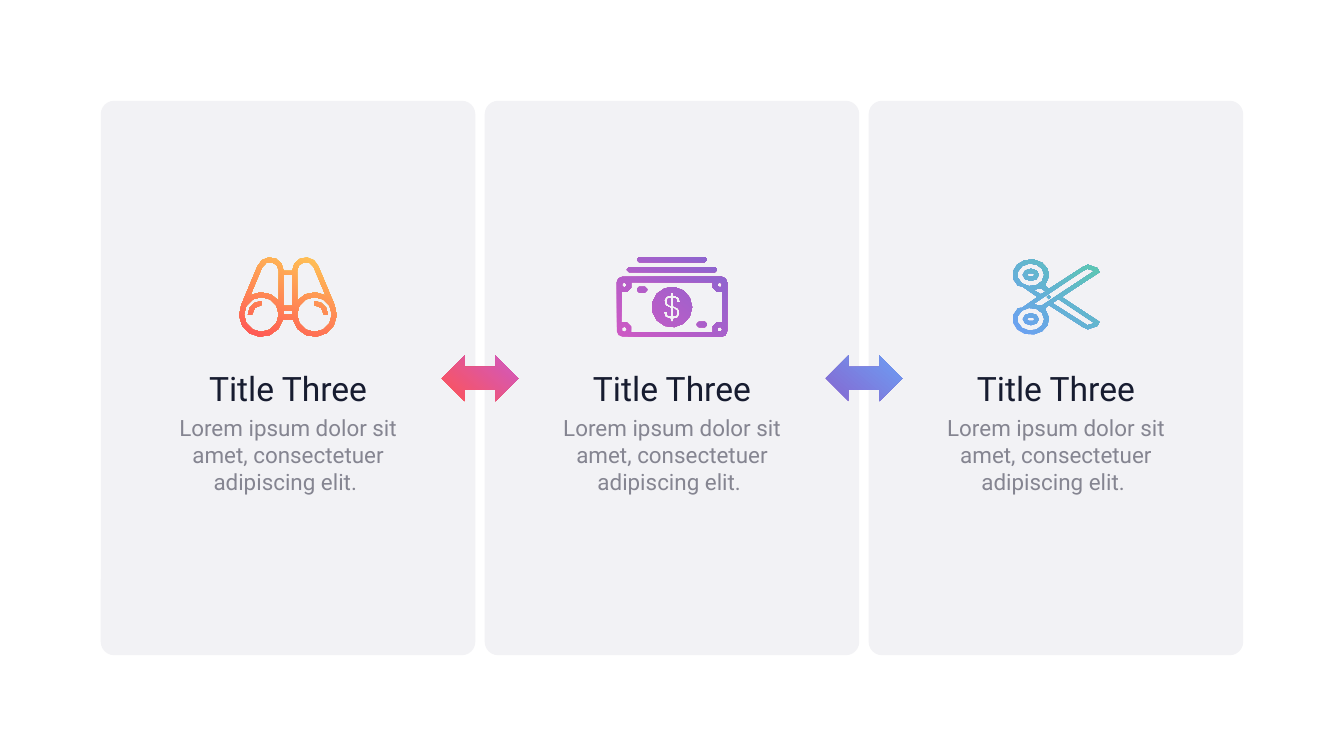
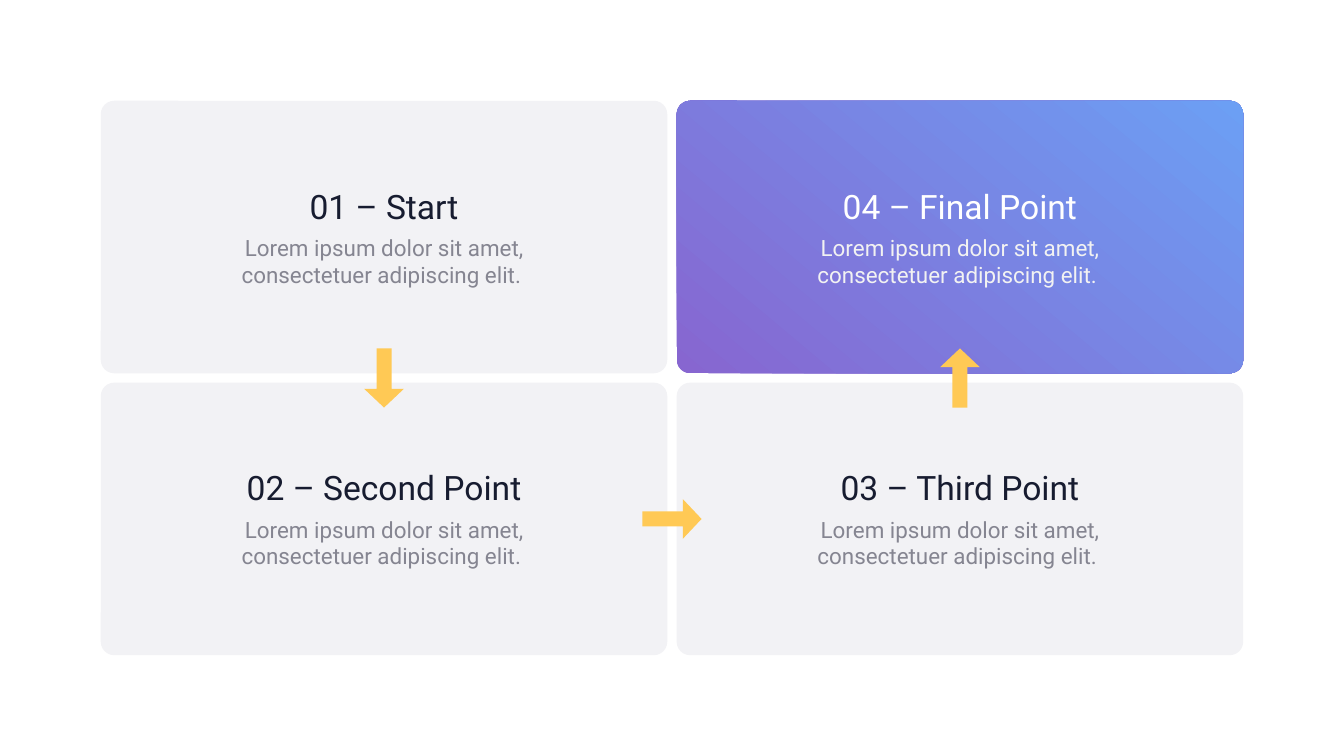
from math import cos, radians, sin, sqrt

from pptx import Presentation
from pptx.dml.color import RGBColor
from pptx.enum.shapes import MSO_SHAPE
from pptx.enum.text import MSO_AUTO_SIZE, PP_ALIGN
from pptx.util import Inches, Pt

WHITE = RGBColor(0xFF, 0xFF, 0xFF)
PALE = RGBColor(0xF2, 0xF2, 0xF2)
CARD_GREY = RGBColor(0xF2, 0xF2, 0xF5)
INK = RGBColor(0x17, 0x1C, 0x30)
TEXT_GREY = RGBColor(0x85, 0x85, 0x91)
YELLOW = RGBColor(0xFF, 0xC9, 0x55)
RED = RGBColor(0xFF, 0x53, 0x55)
MAGENTA = RGBColor(0xCE, 0x59, 0xC4)
PURPLE = RGBColor(0x87, 0x66, 0xD0)
BLUE = RGBColor(0x6C, 0x9F, 0xF4)
GREEN = RGBColor(0x5B, 0xC9, 0xB0)

FONT = "Roboto"
LOREM = "Lorem ipsum dolor sit amet, consectetuer adipiscing elit. "
MARGIN = 1.5
GAP = 0.14
AREA_WIDTH = 17
AREA_HEIGHT = 8.25
CORNER = 0.2
TITLE_WIDTH = 4.58
SMOOTHNESS = 24


def paint(shape, colors, angle=50):
    shape.shadow.inherit = False
    shape.line.fill.background()
    if isinstance(colors, RGBColor):
        shape.fill.solid()
        shape.fill.fore_color.rgb = colors
        return
    shape.fill.gradient()
    shape.fill.gradient_angle = angle
    for stop, color in zip(shape.fill.gradient_stops, colors):
        stop.color.rgb = color


def add_card(slide, left, top, width, height, colors=CARD_GREY):
    card = slide.shapes.add_shape(MSO_SHAPE.ROUNDED_RECTANGLE, Inches(left), Inches(top),
                                  Inches(width), Inches(height))
    card.adjustments[0] = CORNER / min(width, height)
    paint(card, colors)


def add_text(slide, text, center, top, width, height, size, color):
    box = slide.shapes.add_textbox(Inches(center - width / 2), Inches(top),
                                   Inches(width), Inches(height))
    frame = box.text_frame
    frame.word_wrap = True
    frame.auto_size = MSO_AUTO_SIZE.SHAPE_TO_FIT_TEXT
    frame.text = text
    paragraph = frame.paragraphs[0]
    paragraph.alignment = PP_ALIGN.CENTER
    font = paragraph.runs[0].font
    font.name = FONT
    font.size = Pt(size)
    font.color.rgb = color


def add_arrow(slide, kind, center, middle, width, height, colors, rotation=0):
    arrow = slide.shapes.add_shape(kind, Inches(center - width / 2), Inches(middle - height / 2),
                                   Inches(width), Inches(height))
    arrow.rotation = rotation
    paint(arrow, colors)
    return arrow


def add_step_arrow(slide, center, middle, rotation):
    arrow = add_arrow(slide, MSO_SHAPE.RIGHT_ARROW, center, middle, 0.88, 0.59, YELLOW, rotation)
    arrow.adjustments[0] = 0.378
    arrow.adjustments[1] = 0.471


def arc(x, y, radius_x, radius_y, start, end):
    sweep = end - start
    steps = max(1, round(abs(sweep) / 360 * SMOOTHNESS * sqrt(radius_x)))
    angles = [radians(start + sweep * step / steps) for step in range(steps + 1)]
    return [(x + radius_x * cos(angle), y - radius_y * sin(angle)) for angle in angles]


def ellipse(x, y, radius_x, radius_y):
    return arc(x, y, radius_x, radius_y, 0, 360)[:-1]


def circle(x, y, radius):
    return ellipse(x, y, radius, radius)


def rectangle(left, top, right, bottom):
    return [(left, top), (right, top), (right, bottom), (left, bottom)]


def rounded(left, top, right, bottom, radius):
    corners = [(right - radius, top + radius, 0), (left + radius, top + radius, 90),
               (left + radius, bottom - radius, 180), (right - radius, bottom - radius, 270)]
    return [point for x, y, start in corners
            for point in arc(x, y, radius, radius, start, start + 90)]


def flip_x(points, axis):
    return [(2 * axis - x, y) for x, y in reversed(points)]


def flip_y(points, axis):
    return [(x, 2 * axis - y) for x, y in reversed(points)]


def turn(points, x_center, y_center):
    return [(2 * x_center - x, 2 * y_center - y) for x, y in points]


def add_icon(slide, contours, colors, angle=50):
    outlines = [[(Inches(x), Inches(y)) for x, y in contour] for contour in contours]
    builder = slide.shapes.build_freeform(*outlines[0][0])
    for number, outline in enumerate(outlines):
        if number:
            builder.move_to(*outline[0])
        builder.add_line_segments(outline[1:], close=True)
    paint(builder.convert_to_shape(), colors, angle)


def binoculars():
    axis = 4.285
    tube = (4.02, 4.03)
    lens = (3.89, 4.68)
    left_side = [*arc(*tube, 0.2, 0.2, 0, 160), *arc(*lens, 0.33, 0.33, 155, 347)]
    opening = [*arc(*tube, 0.13, 0.13, 0, 155), *arc(*lens, 0.33, 0.33, 120, 38)]
    glint = [*arc(*lens, 0.2, 0.2, 180, 90), *arc(*lens, 0.14, 0.14, 90, 180)]
    halves = [opening, circle(*lens, 0.26), glint]
    slots = [rectangle(4.22, top, 4.35, bottom) for top, bottom in [(4.09, 4.55), (4.62, 4.68)]]
    return [left_side + flip_x(left_side, axis), *halves,
            *(flip_x(half, axis) for half in halves), *slots]


def banknotes():
    x, y = 10, 4.57
    bars = [rounded(left, top, 2 * x - left, top + 0.07, 0.03)
            for left, top in [(9.48, 3.83), (9.33, 3.98)]]
    notch = arc(9.29, 4.24, 0.11, 0.11, 248, 382)
    top_edge = notch + flip_x(notch, x)
    window = top_edge + flip_y(top_edge, y)
    rivets = [circle(dot_x, dot_y, 0.04) for dot_x in (9.29, 10.71) for dot_y in (4.24, 4.9)]
    dash = rounded(9.48, 4.27, 9.63, 4.35, 0.03)
    half_sign = [(10.02, 4.75), (10.02, 4.79), (9.98, 4.79), (9.98, 4.75), (9.9, 4.72),
                 (9.87, 4.64), (9.93, 4.64), (9.94, 4.69), (9.98, 4.7), (9.98, 4.59),
                 (9.9, 4.55), (9.88, 4.47), (9.91, 4.41)]
    counter = [(10.02, 4.59), (10.07, 4.63), (10.06, 4.69), (10.02, 4.7)]
    return [*bars, rounded(9.18, 4.12, 10.82, 5.01, 0.08), window, *rivets,
            dash, turn(dash, x, y), circle(x, y, 0.3),
            half_sign + turn(half_sign, x, y), counter, turn(counter, x, y)]


def scissors():
    axis = 4.42
    handle = (15.34, 4.09)
    upper_side = [(15.8, axis), (16.36, 4.05), (16.33, 3.99), (16.19, 3.94), (16.12, 3.97),
                  (15.61, 4.3), (15.56, 4.26), *arc(*handle, 0.27, 0.23, -35, 225),
                  (15.21, 4.26), (15.44, axis)]
    rings = [ellipse(*handle, *radii) for radii in [(0.2, 0.17), (0.12, 0.09), (0.06, 0.03)]]
    strap = [(15.37, 4.31), (15.5, 4.29), (15.56, 4.34), (15.49, 4.38)]
    upper_blade = [(15.5, 4.55), (15.37, 4.53), (16.1, 4.04), (16.18, 4), (16.29, 4.03)]
    lower_blade = [(16.29, 4.81), (16.18, 4.84), (15.66, 4.51), (15.75, 4.45)]
    return [upper_side + flip_y(upper_side, axis), *rings,
            *(flip_y(ring, axis) for ring in rings),
            strap, upper_blade, lower_blade, circle(15.61, axis, 0.03)]


def build_columns(slide):
    width = (AREA_WIDTH - 2 * GAP) / 3
    lefts = [MARGIN + column * (width + GAP) for column in range(3)]
    for left in lefts:
        add_card(slide, left, MARGIN, width, AREA_HEIGHT)
    for left, colors in zip(lefts[1:], [(RED, MAGENTA), (PURPLE, BLUE)]):
        add_arrow(slide, MSO_SHAPE.LEFT_RIGHT_ARROW, left - GAP / 2, 5.63, 1.14, 0.68, colors)
    for left in lefts:
        center = left + width / 2
        add_text(slide, "Title Three", center, 5.43, TITLE_WIDTH, 0.71, 36, INK)
        add_text(slide, LOREM, center, 6.11, 3.71, 1.31, 24, TEXT_GREY)
    add_icon(slide, binoculars(), (YELLOW, RED), 250)
    add_icon(slide, banknotes(), (MAGENTA, PURPLE))
    add_icon(slide, scissors(), (BLUE, GREEN))


def build_steps(slide):
    width = (AREA_WIDTH - GAP) / 2
    height = (AREA_HEIGHT - GAP) / 2
    steps = [
        ("01 – Start", 0, 0, CARD_GREY, INK, TEXT_GREY),
        ("02 – Second Point", 0, 1, CARD_GREY, INK, TEXT_GREY),
        ("03 – Third Point", 1, 1, CARD_GREY, INK, TEXT_GREY),
        ("04 – Final Point", 1, 0, (PURPLE, BLUE), WHITE, PALE),
    ]
    for title, column, row, colors, title_color, body_color in steps:
        left = MARGIN + column * (width + GAP)
        top = MARGIN + row * (height + GAP)
        center = left + width / 2
        add_card(slide, left, top, width, height, colors)
        add_text(slide, title, center, top + 1.21, TITLE_WIDTH, 0.71, 36, title_color)
        add_text(slide, LOREM, center, top + 1.93, TITLE_WIDTH, 0.91, 24, body_color)
    row_gap = MARGIN + height + GAP / 2
    left_center = MARGIN + width / 2
    add_step_arrow(slide, left_center, row_gap, 90)
    add_step_arrow(slide, MARGIN + width + GAP / 2, row_gap + (height + GAP) / 2, 0)
    add_step_arrow(slide, left_center + width + GAP, row_gap, 270)


def main():
    deck = Presentation()
    deck.slide_width = Inches(20)
    deck.slide_height = Inches(11.25)
    blank = deck.slide_layouts[6]
    for build in (build_columns, build_steps):
        build(deck.slides.add_slide(blank))
    deck.save("out.pptx")


if __name__ == "__main__":
    main()
